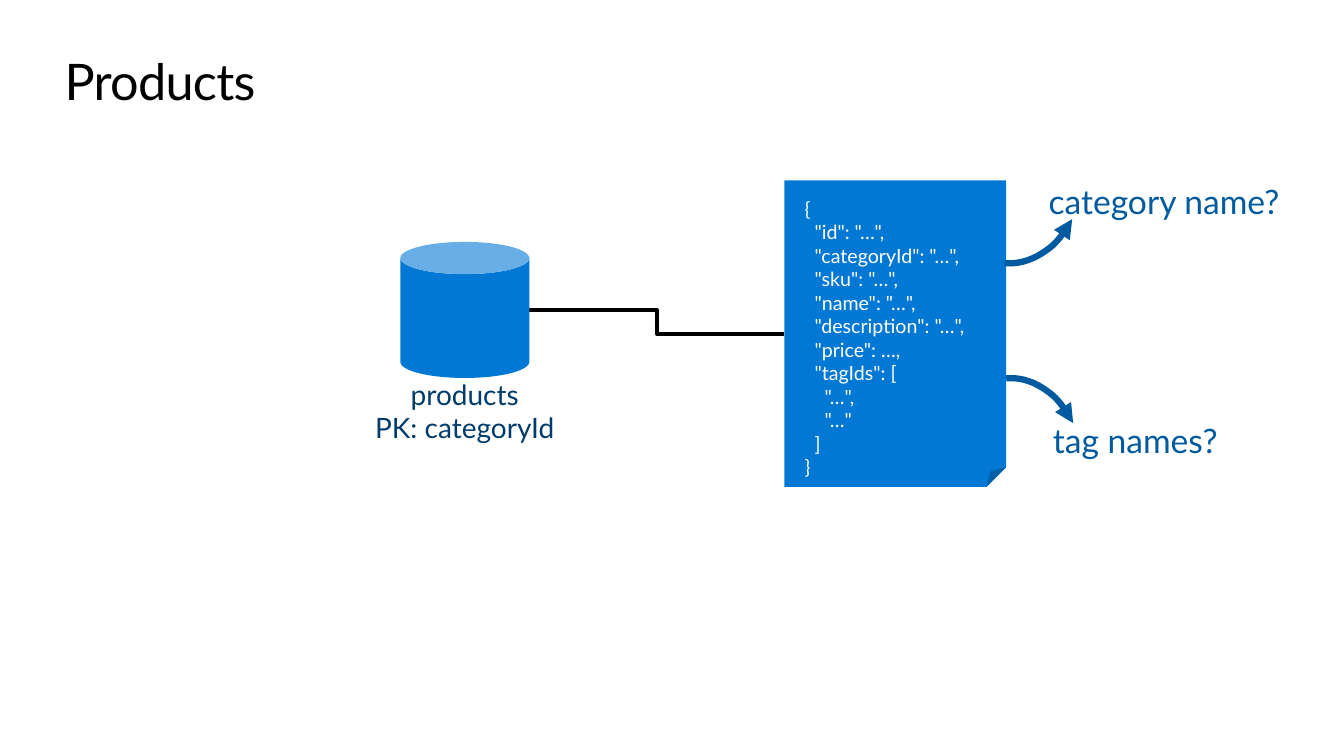
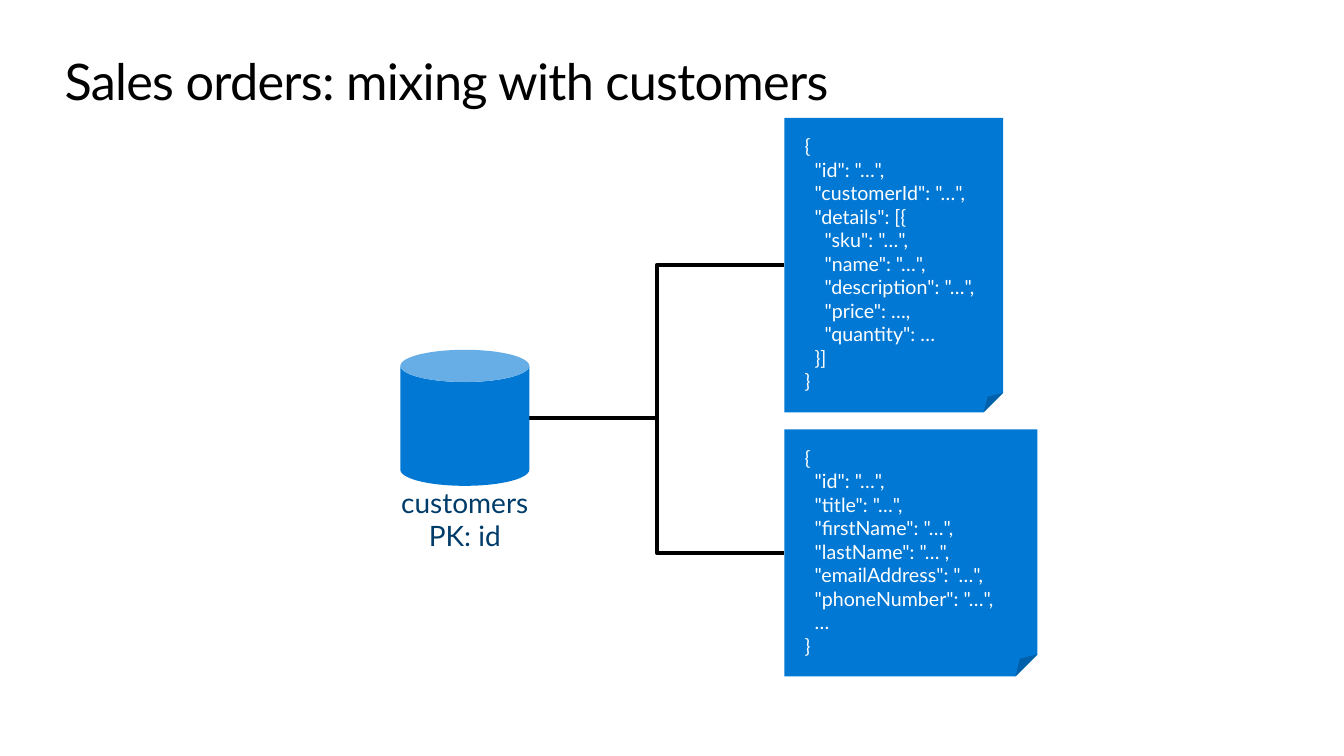
from lxml import etree
from pptx import Presentation
from pptx.dml.color import RGBColor
from pptx.enum.shapes import MSO_CONNECTOR, MSO_SHAPE
from pptx.enum.text import MSO_ANCHOR, MSO_AUTO_SIZE, PP_ALIGN
from pptx.oxml.ns import qn
from pptx.util import Inches, Pt

ELBOW = MSO_CONNECTOR.ELBOW
ARC, CAN, FOLDED = MSO_SHAPE.ARC, MSO_SHAPE.CAN, MSO_SHAPE.FOLDED_CORNER
TOP, MIDDLE = MSO_ANCHOR.TOP, MSO_ANCHOR.MIDDLE
FIT_TEXT = MSO_AUTO_SIZE.SHAPE_TO_FIT_TEXT
LEFT, CENTER = PP_ALIGN.LEFT, PP_ALIGN.CENTER

FONT = "Lato"
COLORS = {
    "title": "000000",
    "link": "000000",
    "fill": "0078D4",
    "code": "FFFFFF",
    "store": "003C6A",
    "question": "005A9F",
}
STORE_X, STORE_W, STORE_H = 3.97, 1.28, 1.35
DOC_X = 7.78

PRODUCT = """{
  "id": "…",
  "categoryId": "…",
  "sku": "…",
  "name": "…",
  "description": "…",
  "price": …,
  "tagIds": [
    "…",
    "…"
  ]
}"""

SALES_ORDER = """{
  "id": "…",
  "customerId": "…",
  "details": [{
    "sku": "…",
    "name": "…",
    "description": "…",
    "price": …,
    "quantity": …
  }]
}"""

CUSTOMER = """{
  "id": "…",
  "title": "…",
  "firstName": "…",
  "lastName": "…",
  "emailAddress": "…",
  "phoneNumber": "…",
  …
}"""


def rgb(name):
    return RGBColor.from_string(COLORS[name])


def write(sp, text, size, color, align=LEFT, anchor=TOP, insets=(0, 0, 0, 0),
          wrap=True, spacing=None):
    """Put each line of text in its own paragraph; insets are left, top, right, bottom."""
    tf = sp.text_frame
    tf.word_wrap = wrap
    tf.vertical_anchor = anchor
    (tf.margin_left, tf.margin_top,
     tf.margin_right, tf.margin_bottom) = (Inches(i) for i in insets)
    for i, line in enumerate(text.split("\n")):
        p = tf.add_paragraph() if i else tf.paragraphs[0]
        p.alignment = align
        r = p.add_run()
        r.text = line
        r.font.name = FONT
        r.font.size = Pt(size)
        r.font.color.rgb = rgb(color)
        if spacing is not None:
            r.font._element.set("spc", str(spacing))


def add_label(slide, text, x, y, w, h, size, color, **style):
    sp = slide.shapes.add_textbox(Inches(x), Inches(y), Inches(w), Inches(h))
    write(sp, text, size, color, **style)
    sp.text_frame.auto_size = FIT_TEXT


def add_preset(slide, kind, x, y, w, h):
    sp = slide.shapes.add_shape(kind, Inches(x), Inches(y), Inches(w), Inches(h))
    sp.shadow.inherit = False
    return sp


def add_solid(slide, kind, x, y, w, h):
    sp = add_preset(slide, kind, x, y, w, h)
    sp.fill.solid()
    sp.fill.fore_color.rgb = rgb("fill")
    sp.line.fill.background()
    return sp


def add_document(slide, code, y, w, h):
    sp = add_solid(slide, FOLDED, DOC_X, y, w, h)
    # python-pptx lists no adjustment for a folded corner
    guides = sp._element.spPr.find(qn("a:prstGeom")).get_or_add_avLst()
    etree.SubElement(guides, qn("a:gd"), name="adj", fmla="val 8900")
    write(sp, code, 14, "code", insets=(0.2, 0.16, 0.2, 0.16))


def add_store(slide, caption, y):
    """Draw a database can with its caption hanging below it."""
    sp = add_solid(slide, CAN, STORE_X, y, STORE_W, STORE_H)
    write(sp, caption, 20, "store", align=CENTER, anchor=MIDDLE,
          insets=(0, 2, 0, 0.16), wrap=False)


def add_link(slide, from_y, to_y):
    """Join the store's right side to a document's left side."""
    link = slide.shapes.add_connector(
        ELBOW, Inches(STORE_X + STORE_W), Inches(from_y), Inches(DOC_X), Inches(to_y))
    link.line.color.rgb = rgb("link")
    link.line.width = Pt(3)
    etree.SubElement(link._element.spPr, qn("a:effectLst"))


def add_curved_arrow(slide, x, y, w, h, rotation, flip=False):
    sp = add_preset(slide, ARC, x, y, w, h)
    sp.adjustments[0] = 184.536
    sp.adjustments[1] = 0
    sp.rotation = rotation
    if flip:
        sp._element.spPr.find(qn("a:xfrm")).set("flipV", "1")
    sp.fill.background()
    sp.line.color.rgb = rgb("question")
    sp.line.width = Pt(4.5)
    ln = sp._element.spPr.find(qn("a:ln"))
    etree.SubElement(ln, qn("a:headEnd"), type="triangle")


def add_question(slide, text, x, y, w):
    add_label(slide, text, x, y, w, 0.4, 24, "question", align=CENTER)


def add_container_slide(prs, title, caption, store_y, documents):
    """Show one store linked to its documents, each given as code, y, w, h."""
    slide = prs.slides.add_slide(prs.slide_layouts[6])
    add_label(slide, title, 0.64, 0.5, 12.05, 0.61, 36, "title", spacing=-50)
    for code, y, w, h in documents:
        add_link(slide, store_y + STORE_H / 2, y + h / 2)
        add_document(slide, code, y, w, h)
    add_store(slide, caption, store_y)
    return slide


def main():
    prs = Presentation()
    prs.slide_width, prs.slide_height = Inches(13.33), Inches(7.5)

    slide = add_container_slide(
        prs, "Products", "products\nPK: categoryId", 2.4,
        [(PRODUCT, 1.79, 2.2, 3.04)])
    add_curved_arrow(slide, 9.07, 0.91, 1.96, 1.45, 95.2)
    add_question(slide, "category name?", 10.13, 1.79, 2.83)
    add_curved_arrow(slide, 9.09, 4.02, 1.96, 1.42, 264.7, flip=True)
    add_question(slide, "tag names?", 10.16, 4.17, 2.2)

    add_container_slide(
        prs, "Sales orders: mixing with customers", "customers\nPK: id", 3.47,
        [(SALES_ORDER, 1.17, 2.17, 2.92), (CUSTOMER, 4.26, 2.51, 2.45)])

    prs.save("out.pptx")


if __name__ == "__main__":
    main()
